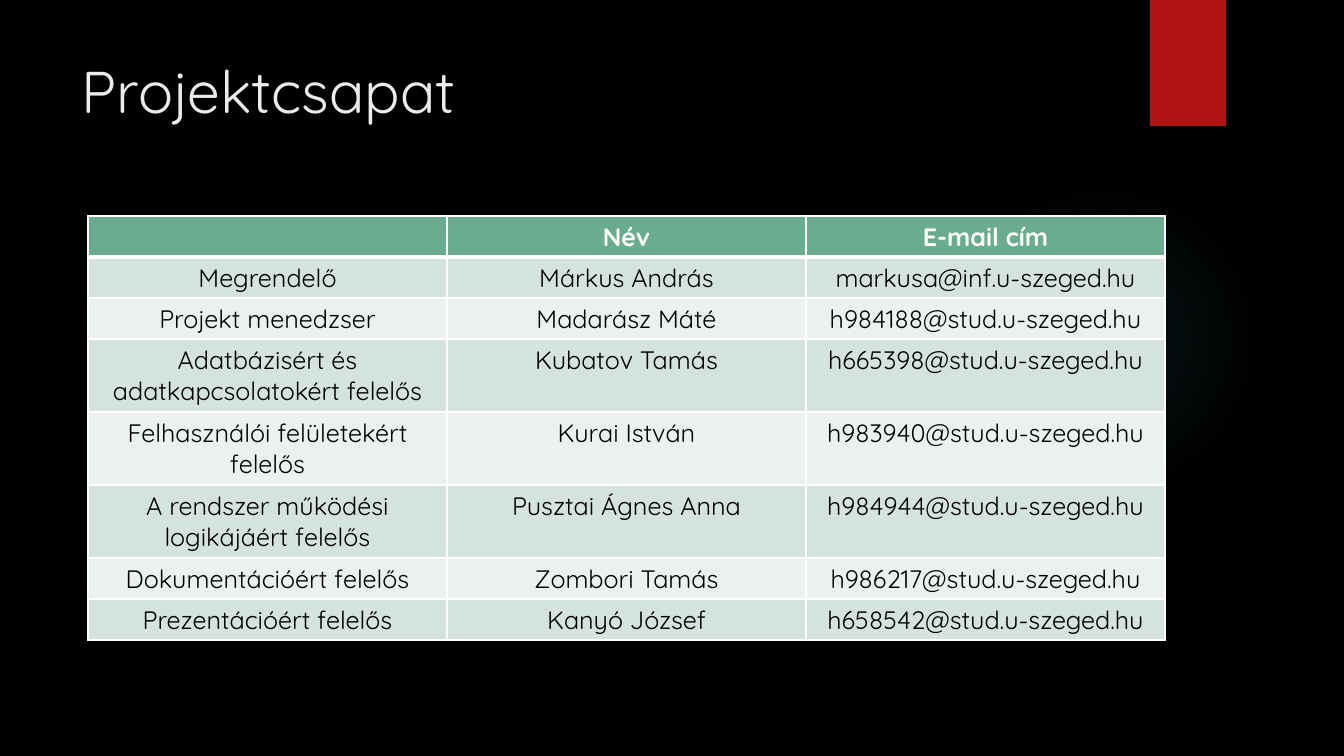
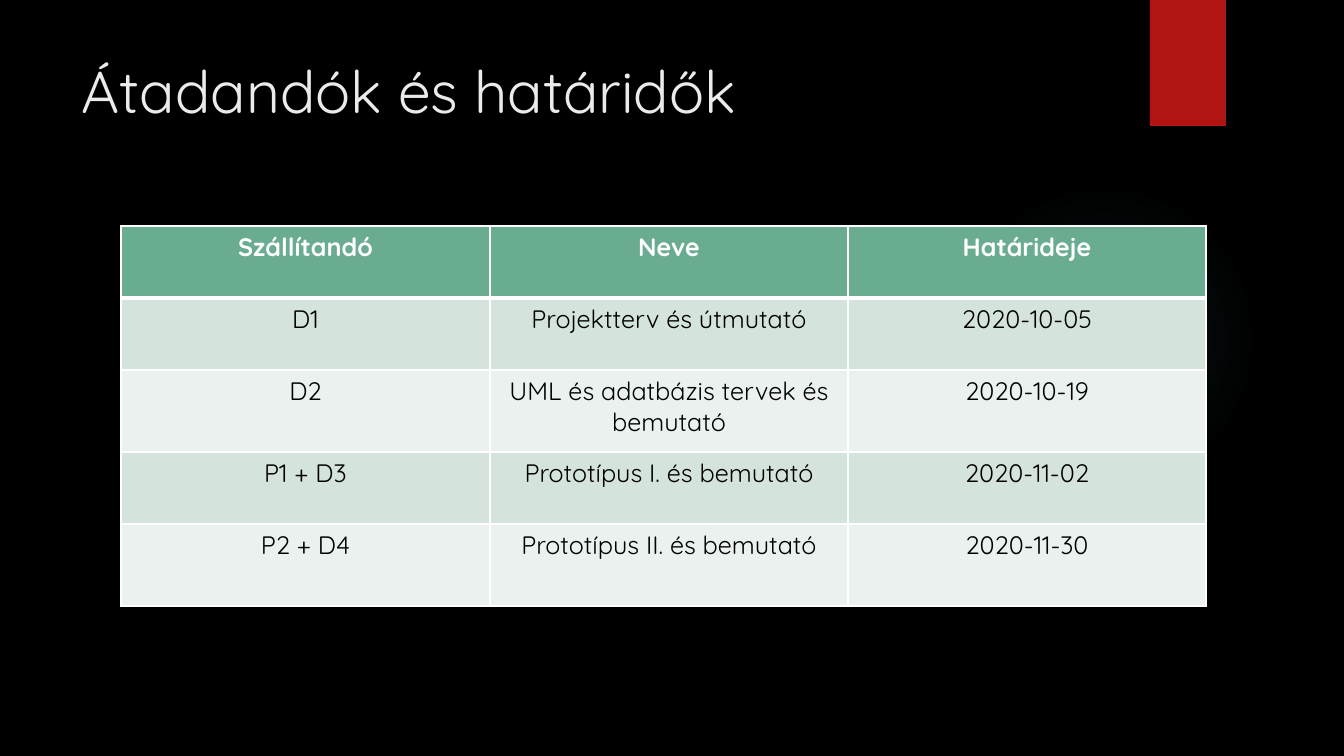
from lxml import etree
from pptx import Presentation
from pptx.dml.color import RGBColor
from pptx.enum.shapes import MSO_SHAPE as Shape
from pptx.enum.text import MSO_ANCHOR as Anchor, PP_ALIGN as Align
from pptx.oxml import parse_xml
from pptx.oxml.ns import nsdecls, qn
from pptx.util import Emu, Pt

SLIDES = [
    {
        "title": "Projektcsapat",
        "corner": (88, 216),
        "columns": (359, 359, 359),
        "heights": (41, 41, 41, 73, 73, 73, 41, 41),
        "rows": [
            ("", "Név", "E-mail cím"),
            ("Megrendelő", "Márkus András", "markusa@inf.u-szeged.hu"),
            ("Projekt menedzser", "Madarász Máté", "h984188@stud.u-szeged.hu"),
            ("Adatbázisért és adatkapcsolatokért felelős", "Kubatov Tamás", "h665398@stud.u-szeged.hu"),
            ("Felhasználói felületekért felelős", "Kurai István", "h983940@stud.u-szeged.hu"),
            ("A rendszer működési logikájáért felelős", "Pusztai Ágnes Anna", "h984944@stud.u-szeged.hu"),
            ("Dokumentációért felelős", "Zombori Tamás", "h986217@stud.u-szeged.hu"),
            ("Prezentációért felelős", "Kanyó József", "h658542@stud.u-szeged.hu"),
        ],
    },
    {
        "title": "Átadandók és határidők",
        "corner": (121, 226),
        "columns": (369, 358, 358),
        "heights": (72, 72, 82, 72, 82),
        "rows": [
            ("Szállítandó", "Neve", "Határideje"),
            ("D1", "Projektterv és útmutató", "2020-10-05"),
            ("D2", "UML és adatbázis tervek és bemutató", "2020-10-19"),
            ("P1 + D3", "Prototípus I. és bemutató", "2020-11-02"),
            ("P2 + D4", "Prototípus II. és bemutató", "2020-11-30"),
        ],
    },
]

FONT = "Quicksand"
BLACK, WHITE, TITLE_GREY = "000000", "FFFFFF", "EBEBEB"
RED, GLOW = "B01513", "50B9C1"
HEADER_GREEN, BANDS = "6AAC90", ("D4E3DB", "EBF1EE")
GLOW_STOPS = ((0, 7), (36, 6), (69, 0))
THICK_EDGES = {(0, "B"), (1, "T")}


def px(length):
    return Emu(round(length * 914400 / 100.8))


def color(code):
    return RGBColor.from_string(code)


def paint(target, code):
    target.fill.solid()
    target.fill.fore_color.rgb = color(code)


def add_run(paragraph, text, size, code, bold=False):
    run = paragraph.add_run()
    run.text = text
    run.font.name = FONT
    run.font.size = Pt(size)
    run.font.bold = bold
    run.font.color.rgb = color(code)


def add_plain_shape(slide, kind, *box):
    shape = slide.shapes.add_shape(kind, *map(px, box))
    shape.shadow.inherit = False
    shape.line.fill.background()
    return shape


def add_glow(slide):
    glow = add_plain_shape(slide, Shape.OVAL, 949, 184, 310, 310)
    stops = "".join(
        f'<a:gs pos="{position * 1000}"><a:srgbClr val="{GLOW}">'
        f'<a:alpha val="{alpha * 1000}"/></a:srgbClr></a:gs>'
        for position, alpha in GLOW_STOPS
    )
    gradient = parse_xml(
        f'<a:gradFill {nsdecls("a")}><a:gsLst>{stops}</a:gsLst><a:path path="circle">'
        '<a:fillToRect l="50000" t="50000" r="50000" b="50000"/></a:path></a:gradFill>'
    )
    glow._element.spPr.find(qn("a:prstGeom")).addnext(gradient)


def add_frame(slide, title):
    add_glow(slide)
    paint(add_plain_shape(slide, Shape.RECTANGLE, 1150, 0, 76, 126), RED)
    frame = slide.shapes.add_textbox(*map(px, (72, 50, 1037, 154))).text_frame
    frame.word_wrap = True
    frame.vertical_anchor = Anchor.TOP
    add_run(frame.paragraphs[0], title, 42, TITLE_GREY)


def add_borders(cell, row):
    properties = cell._tc.get_or_add_tcPr()
    for side in "LRTB":
        width = Pt(3 if (row, side) in THICK_EDGES else 1)
        line = etree.SubElement(properties, qn(f"a:ln{side}"), w=str(width))
        fill = etree.SubElement(line, qn("a:solidFill"))
        etree.SubElement(fill, qn("a:srgbClr"), val=WHITE)


def add_table(slide, corner, columns, heights, rows):
    box = (*corner, sum(columns), sum(heights))
    table = slide.shapes.add_table(len(rows), len(columns), *map(px, box)).table
    table.horz_banding = False
    for column, width in zip(table.columns, columns):
        column.width = px(width)
    for index, (row, height, texts) in enumerate(zip(table.rows, heights, rows)):
        row.height = px(height)
        header = index == 0
        for cell, text in zip(row.cells, texts):
            add_borders(cell, index)
            paint(cell, HEADER_GREEN if header else BANDS[(index - 1) % 2])
            paragraph = cell.text_frame.paragraphs[0]
            paragraph.alignment = Align.CENTER
            if text:
                add_run(paragraph, text, 18, WHITE if header else BLACK, header)


def main():
    presentation = Presentation()
    presentation.slide_width, presentation.slide_height = px(1344), px(756)
    paint(presentation.slide_master.background, BLACK)
    for content in SLIDES:
        slide = presentation.slides.add_slide(presentation.slide_layouts[6])
        add_frame(slide, content["title"])
        add_table(slide, content["corner"], content["columns"], content["heights"], content["rows"])
    presentation.save("out.pptx")


if __name__ == "__main__":
    main()
